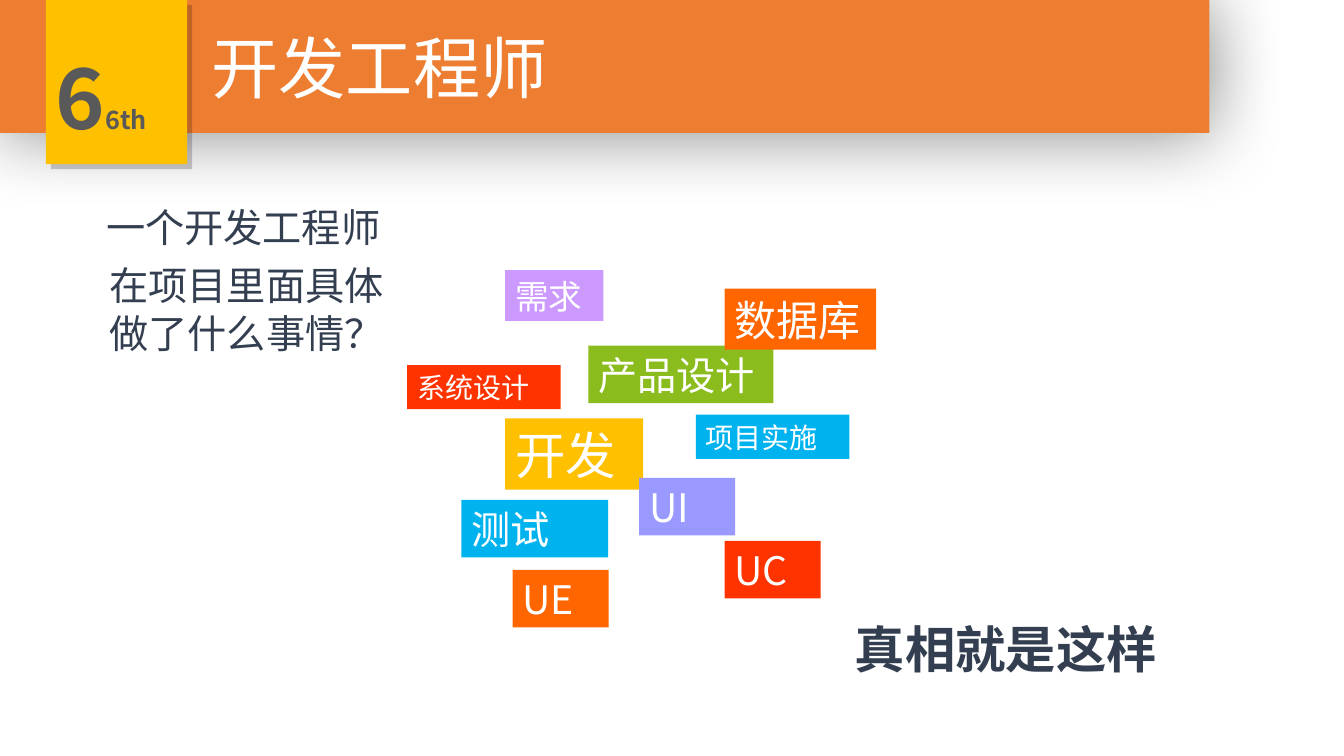
import pptx
import pptx.util
import pptx.dml.color
import pptx.enum.shapes
import pptx.enum.text
import pptx.oxml
import pptx.oxml.ns
from lxml import etree

COLOURS = {
    "navy": "333F50",
    "white": "FFFFFF",
    "grey": "595959",
    "banner": "ED7D31",
    "amber": "FFC000",
    "blue": "00B3EE",
    "red": "FF3300",
    "green": "8ABC1D",
    "violet": "9999FF",
    "orange": "FF6600",
    "lilac": "CC99FF",
}
SC = "Noto Sans CJK SC"
KR = "Noto Sans CJK KR"
LINE_HEIGHT = 1.22

TAGS = [
    ("测试", 11.63, 12.6, 3.7, 1.45, "blue", 28, SC),
    ("开发", 12.73, 10.54, 3.48, 1.8, "amber", 36, KR),
    ("系统设计", 10.26, 9.2, 3.87, 1.11, "red", 20, KR),
    ("产品设计", 14.83, 8.71, 4.66, 1.45, "green", 28, KR),
    ("UI", 16.11, 12.04, 2.42, 1.45, "violet", 28, SC),
    ("UE", 12.92, 14.36, 2.42, 1.45, "orange", 28, SC),
    ("需求", 12.73, 6.81, 2.48, 1.28, "lilac", 24, KR),
    ("UC", 18.26, 13.63, 2.42, 1.45, "red", 28, SC),
    ("数据库", 18.26, 7.27, 3.82, 1.54, "orange", 30, KR),
    ("项目实施", 17.54, 10.45, 3.87, 1.11, "blue", 20, KR),
]


def rgb(name):
    return pptx.dml.color.RGBColor.from_string(COLOURS[name])


def style_paragraph(para, size, colour, face, bold=False):
    para.line_spacing = pptx.util.Pt(round(size * LINE_HEIGHT, 1))
    para.alignment = pptx.enum.text.PP_ALIGN.LEFT
    font = para.font
    font.size = pptx.util.Pt(size)
    font.bold = bold
    font.color.rgb = rgb(colour)
    font.name = face
    defaults = para._p.pPr.find(pptx.oxml.ns.qn("a:defRPr"))
    east_asian = etree.SubElement(defaults, pptx.oxml.ns.qn("a:ea"))
    east_asian.set("typeface", face)


def fill_text(shape, lines, size, colour, face=SC, bold=False):
    frame = shape.text_frame
    frame.word_wrap = True
    frame.auto_size = pptx.enum.text.MSO_AUTO_SIZE.SHAPE_TO_FIT_TEXT
    frame.vertical_anchor = pptx.enum.text.MSO_ANCHOR.TOP
    frame.text = "\n".join(lines)
    for para in frame.paragraphs:
        style_paragraph(para, size, colour, face, bold)
    return frame


def add_text(shapes, place, lines, size, colour, bold=False):
    box = shapes.add_textbox(*map(pptx.util.Cm, place))
    return fill_text(box, lines, size, colour, bold=bold)


def add_block(shapes, place, colour):
    block = shapes.add_shape(
        pptx.enum.shapes.MSO_SHAPE.RECTANGLE, *map(pptx.util.Cm, place)
    )
    block.shadow.inherit = False
    block.fill.solid()
    block.fill.fore_color.rgb = rgb(colour)
    block.line.fill.background()
    return block


def add_shadow(block, opacity, blur, distance, angle):
    effects = block._element.spPr.find(pptx.oxml.ns.qn("a:effectLst"))
    effects.append(pptx.oxml.parse_xml(
        f'<a:outerShdw {pptx.oxml.ns.nsdecls("a")} blurRad="{pptx.util.Pt(blur)}" '
        f'dist="{pptx.util.Pt(distance)}" dir="{angle * 60000}" '
        'algn="tl" rotWithShape="0">'
        f'<a:srgbClr val="000000"><a:alpha val="{opacity * 1000}"/></a:srgbClr>'
        "</a:outerShdw>"
    ))


def add_tag_cloud(page):
    cloud = page.shapes.add_group_shape()
    for label, left, top, width, height, colour, size, face in TAGS:
        tag = add_block(cloud.shapes, (left, top, width, height), colour)
        fill_text(tag, [label], size, "white", face)


def add_header(page):
    banner = add_block(page.shapes, (0, 0, 30.48, 3.35), "banner")
    add_shadow(banner, 48, 54, 0, 0)
    add_text(page.shapes, (5.08, 0.5, 13.5, 2.32), ["开发工程师"], 48, "white")
    badge = add_block(page.shapes, (1.16, 0, 3.56, 4.14), "amber")
    add_shadow(badge, 20, 0, 5, 45)
    number = add_text(page.shapes, (1.16, 0.97, 3.9, 2.83), ["6"], 60, "grey", True)
    ordinal = number.paragraphs[0].add_run()
    ordinal.text = "6th"
    ordinal.font.size = pptx.util.Pt(18)


def main():
    deck = pptx.Presentation()
    deck.slide_width = pptx.util.Cm(33.87)
    deck.slide_height = pptx.util.Cm(19.05)
    page = deck.slides.add_slide(deck.slide_layouts[6])
    add_text(page.shapes, (2.43, 4.98, 8.64, 1.45), ["一个开发工程师"], 28, "navy")
    add_text(
        page.shapes, (2.51, 6.43, 8.05, 2.65),
        ["在项目里面具体", "做了什么事情？"], 28, "navy",
    )
    add_text(
        page.shapes, (21.29, 15.42, 10.31, 1.8), ["真相就是这样"], 36, "navy", True
    )
    add_tag_cloud(page)
    add_header(page)
    deck.save("out.pptx")


if __name__ == "__main__":
    main()
